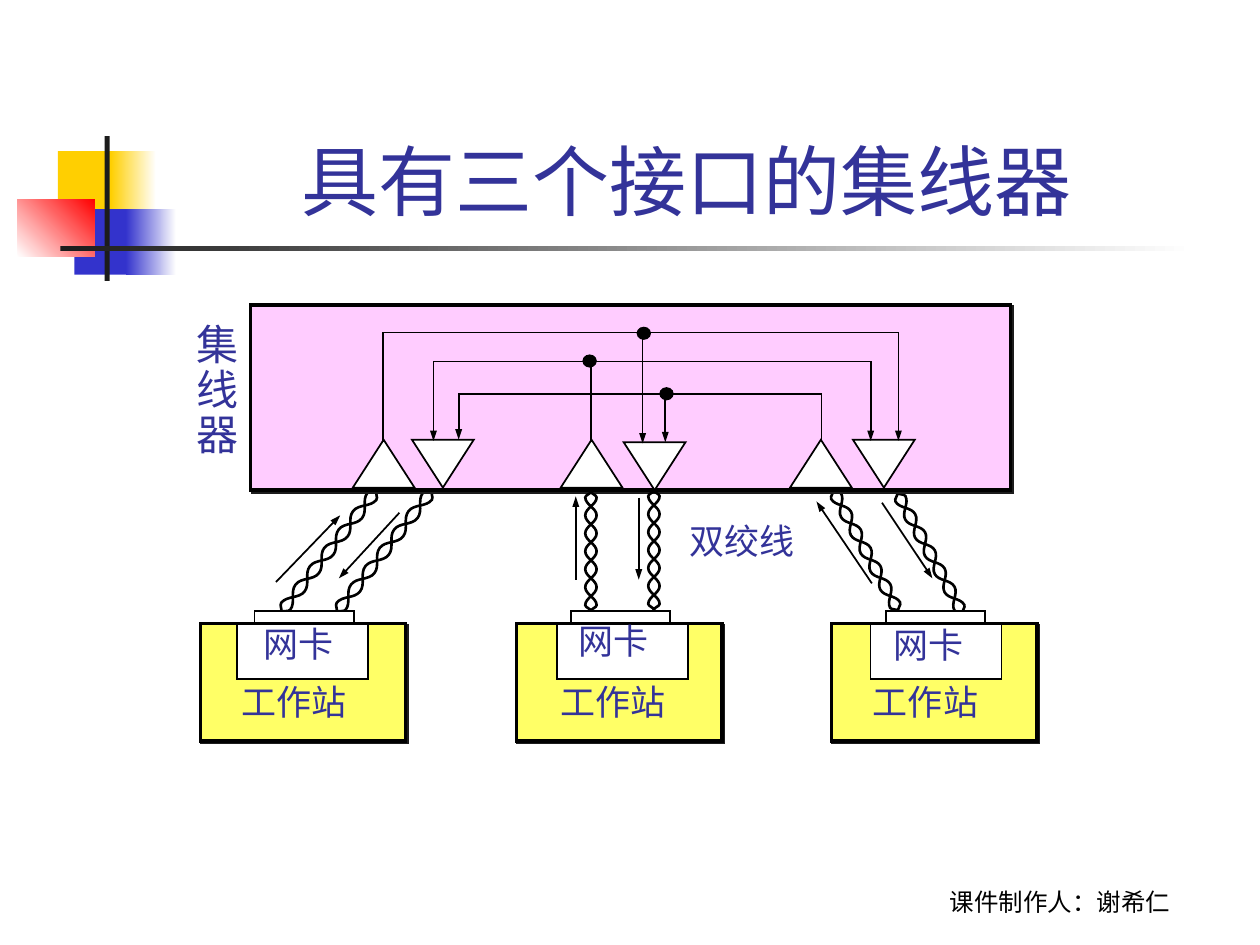
from math import atan2, degrees, hypot

from lxml.etree import SubElement
from pptx import Presentation
from pptx.dml.color import RGBColor
from pptx.enum.shapes import MSO_CONNECTOR, MSO_SHAPE
from pptx.enum.text import MSO_ANCHOR, MSO_AUTO_SIZE, PP_ALIGN
from pptx.oxml.ns import qn
from pptx.util import Inches, Pt

BLACK, WHITE, INK, BLUE = "000000", "FFFFFF", "1C1C1C", "333399"
PINK, YELLOW = "FFCCFF", "FFFF66"
SERIF = "Times New Roman"

# Corner decoration: left, top, width, height, colours, gradient angle
DECORATION = [
    (0.46, 1.2, 0.48, 0.52, ["FFCF01"], 0),
    (0.88, 1.2, 0.36, 0.52, ["FFCF01", WHITE], 0),
    (0.59, 1.66, 0.46, 0.52, ["3333CC"], 0),
    (1, 1.66, 0.4, 0.52, ["3333CC", WHITE], 0),
    (0.14, 1.58, 0.61, 0.46, [WHITE, "FF0000"], 45),
    (0.83, 1.08, 0.04, 1.15, [INK], 0),
    (0.48, 1.95, 9, 0.04, [INK, WHITE], 0),
]

# Twisted pairs: from the network card up to the hub
SLANTED_PAIRS = [
    ((2.23, 4.86), (2.99, 3.89)), ((2.67, 4.86), (3.43, 3.89)),
    ((7.13, 4.85), (6.61, 3.89)), ((7.64, 4.87), (7.12, 3.91)),
]
UPRIGHT_PAIRS = [((5.19, 4.84), (5.19, 3.89)), ((4.69, 4.85), (4.69, 3.9))]

# Hub ports: left, top, rotation
PORTS = [(2.8, 3.49, 0), (3.27, 3.49, 180), (4.45, 3.49, 0),
         (4.95, 3.51, 180), (6.27, 3.49, 0), (6.77, 3.49, 180)]

# Wires inside the hub, each ending in an arrowhead
WIRES = [
    [(6.52, 3.49), (6.52, 3.13), (3.64, 3.13), (3.64, 3.49)],
    [(4.69, 3.51), (4.69, 2.87), (6.91, 2.87), (6.91, 3.5)],
    [(4.69, 2.87), (3.44, 2.87), (3.44, 3.5)],
    [(3.04, 3.51), (3.04, 2.64), (7.13, 2.64), (7.13, 3.5)],
]
JUNCTIONS = [(4.63, 2.82), (5.06, 2.6), (5.24, 3.08)]

# Straight arrows: branches in the hub, then signal directions on the pairs
BRANCHES = [((5.28, 3.14), (5.28, 3.51)), ((5.1, 2.66), (5.1, 3.52))]
SIGNALS = [
    ((4.57, 4.6), (4.57, 3.94)), ((5.07, 3.95), (5.07, 4.6)),
    ((2.19, 4.62), (2.7, 4.09)), ((3.17, 4.07), (2.69, 4.59)),
    ((6.92, 4.63), (6.48, 3.98)), ((7, 3.99), (7.4, 4.59)),
]

# Workstations: left, card left, card label (left, top), station label left
STATIONS = [
    (4.1, 4.42, (4.49, 4.87), 4.35),
    (1.59, 1.88, (1.99, 4.89), 1.82),
    (6.6, 6.91, (6.99, 4.9), 6.83),
]

deck = Presentation()
deck.slide_width, deck.slide_height = Inches(10), Inches(7.5)
page = deck.slides.add_slide(deck.slide_layouts[6])
shapes = page.shapes


def color(value):
    return RGBColor.from_string(value)


def style_line(line, width, arrow=False):
    line.color.rgb = color(BLACK)
    line.width = Pt(width)
    outline = line._get_or_add_ln()
    SubElement(outline, qn("a:miter"), lim="800000")
    if arrow:
        SubElement(outline, qn("a:tailEnd"), type="triangle", w="sm", len="med")


def add_block(kind, left, top, width, height, fills, line=None, angle=0):
    shape = shapes.add_shape(kind, Inches(left), Inches(top), Inches(width), Inches(height))
    shape.shadow.inherit = False
    if len(fills) == 1:
        shape.fill.solid()
        shape.fill.fore_color.rgb = color(fills[0])
    else:
        shape.fill.gradient()
        shape.fill.gradient_angle = angle
        for stop, value in zip(shape.fill.gradient_stops, fills):
            stop.color.rgb = color(value)
    if line:
        style_line(shape.line, line)
    else:
        shape.line.fill.background()
    return shape


def add_shadowed(left, top, width, height, fill):
    shape = add_block(MSO_SHAPE.RECTANGLE, left, top, width, height, [fill], 2)
    effects = shape._element.spPr.find(qn("a:effectLst"))
    shadow = SubElement(effects, qn("a:outerShdw"), blurRad="0", dist=str(Pt(1.4)),
                        dir="2700000", algn="ctr", rotWithShape="0")
    SubElement(shadow, qn("a:srgbClr"), val=INK)


def add_path(points, width, arrow=False):
    start, *rest = [(Inches(x), Inches(y)) for x, y in points]
    builder = shapes.build_freeform(*start)
    builder.add_line_segments(rest, close=False)
    shape = builder.convert_to_shape()
    shape.shadow.inherit = False
    shape.fill.background()
    style_line(shape.line, width, arrow)
    return shape


def curve_path(shape):
    """Turn every three line segments into one Bezier curve."""
    outline = next(shape._element.iter(qn("a:path")))
    lines = outline.findall(qn("a:lnTo"))
    for first in range(0, len(lines), 3):
        curve = SubElement(outline, qn("a:cubicBezTo"))
        for line in lines[first:first + 3]:
            curve.append(line[0])
            outline.remove(line)


def add_twisted_pair(start, end, swing=0.045, turns=7):
    """Two mirrored waves, laid out flat and turned to run from start to end."""
    dx, dy = end[0] - start[0], end[1] - start[1]
    length = hypot(dx, dy)
    left, middle = (start[0] + end[0] - length) / 2, (start[1] + end[1]) / 2
    for side in (swing, -swing):
        crests = [(0.05 + 0.15 * turn, side * (-1) ** turn) for turn in range(turns)]
        knots = [(0, 0), *crests, (1, 0)]
        wave = [knots[0]]
        for (x1, y1), (x2, y2) in zip(knots, knots[1:]):
            bend = (x2 - x1) * 0.4
            wave += [(x1 + bend, y1), (x2 - bend, y2), (x2, y2)]
        strand = add_path([(left + x * length, middle + y) for x, y in wave], 1.5)
        curve_path(strand)
        strand.rotation = degrees(atan2(dy, dx)) % 360


def add_arrow(start, end):
    ends = [Inches(value) for value in (*start, *end)]
    connector = shapes.add_connector(MSO_CONNECTOR.STRAIGHT, *ends)
    SubElement(connector._element.spPr, qn("a:effectLst"))
    style_line(connector.line, 1, arrow=True)


def add_text(text, left, top, width, height, size, font=SERIF, fill=BLUE,
             centered=False, spacing=None):
    box = shapes.add_textbox(Inches(left), Inches(top), Inches(width), Inches(height))
    frame = box.text_frame
    frame.text = text
    frame.word_wrap = centered
    if centered:
        frame.vertical_anchor = MSO_ANCHOR.BOTTOM
    else:
        frame.auto_size = MSO_AUTO_SIZE.SHAPE_TO_FIT_TEXT
    for para in frame.paragraphs:
        para.alignment = PP_ALIGN.CENTER if centered else PP_ALIGN.LEFT
        para.line_spacing = spacing
        for span in para.runs:
            span.font.name, span.font.size = font, Pt(size)
            span.font.color.rgb = color(fill)


# Decoration, footer and title
for *place, fills, angle in DECORATION:
    add_block(MSO_SHAPE.RECTANGLE, *place, fills, angle=angle)
add_text("课件制作人：谢希仁", 6.83, 6.82, 3.17, 0.5, 14, "Cabin", BLACK, centered=True)
add_text("具有三个接口的集线器 ", 1.26, 0.24, 8.52, 1.6, 44, "Arial", centered=True)

# Slanted cables, then the hub over their upper ends
for pair in SLANTED_PAIRS:
    add_twisted_pair(*pair)
add_shadowed(1.99, 2.42, 6.03, 1.47, PINK)
for left, top, rotation in PORTS:
    port = add_block(MSO_SHAPE.ISOSCELES_TRIANGLE, left, top, 0.49, 0.38, [WHITE], 1)
    port.rotation = rotation
for wire in WIRES:
    add_path(wire, 1, arrow=True)
for branch in BRANCHES:
    add_arrow(*branch)
add_text("集\n线\n器", 1.46, 2.52, 0.53, 1.18, 24, spacing=0.9)

# Workstations with their network cards
for left, card_left, card_label, station_label in STATIONS:
    add_shadowed(left, 4.95, 1.63, 0.93, YELLOW)
    add_block(MSO_SHAPE.RECTANGLE, card_left, 4.95, 1.04, 0.44, [WHITE], 1)
    add_text("网卡", *card_label, 0.76, 0.43, 20)
    add_text("工作站", station_label, 5.35, 1.05, 0.43, 20)
    add_block(MSO_SHAPE.RECTANGLE, left + 0.43, 4.85, 0.79, 0.09, [WHITE], 1)

# Junction dots, signal directions and upright cables
for left, top in JUNCTIONS:
    add_block(MSO_SHAPE.OVAL, left, top, 0.1, 0.09, [BLACK], 1)
for signal in SIGNALS:
    add_arrow(*signal)
add_text("双绞线", 5.37, 4.07, 1.05, 0.43, 20)
for pair in UPRIGHT_PAIRS:
    add_twisted_pair(*pair)

deck.save("out.pptx")
